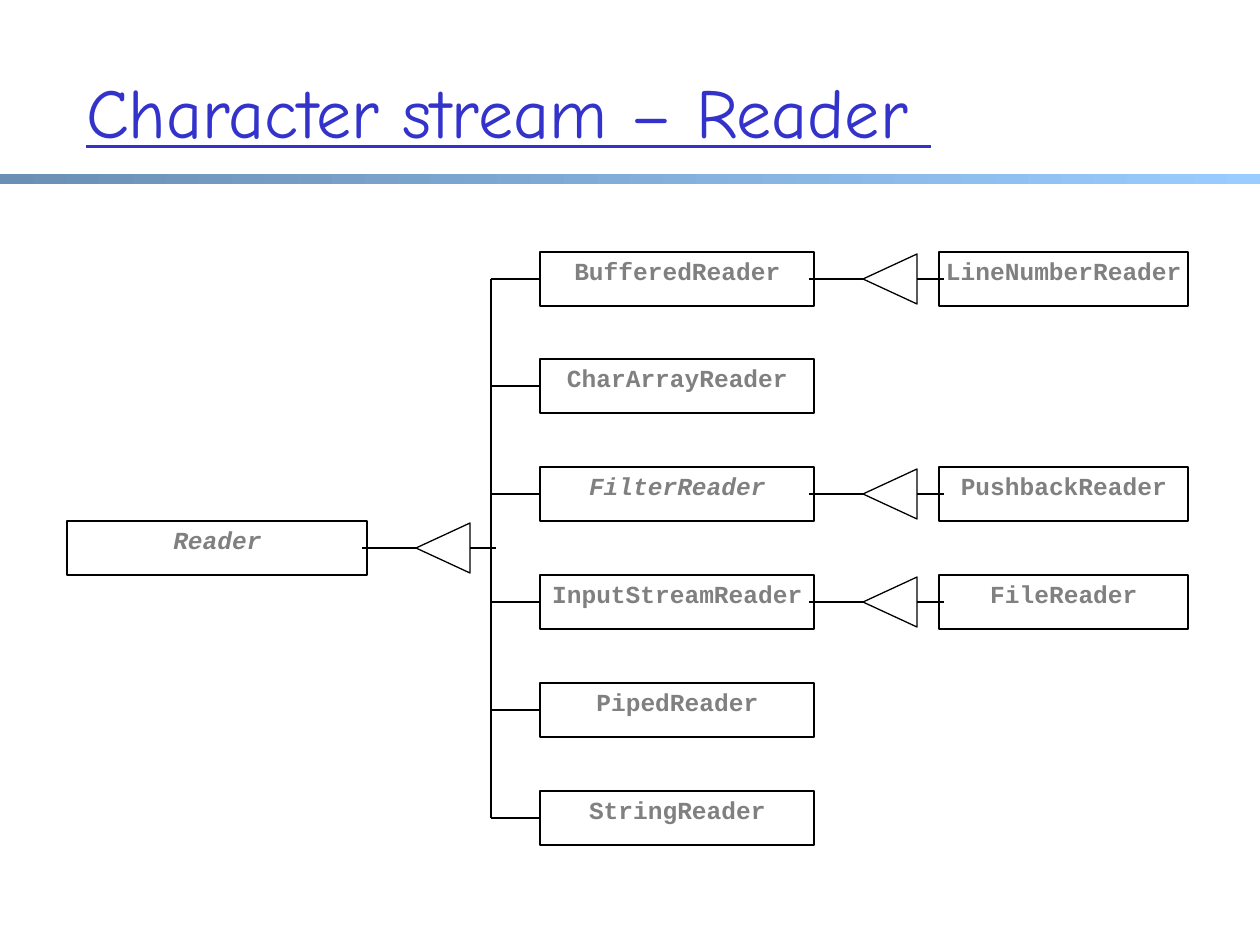
from dataclasses import dataclass

from lxml import etree
from pptx import Presentation
from pptx.dml.color import RGBColor
from pptx.enum.shapes import MSO_CONNECTOR, MSO_SHAPE
from pptx.enum.text import MSO_ANCHOR, MSO_AUTO_SIZE, PP_ALIGN
from pptx.oxml.ns import qn
from pptx.util import Pt

RECTANGLE = MSO_SHAPE.RECTANGLE
TRIANGLE = MSO_SHAPE.ISOSCELES_TRIANGLE
STRAIGHT = MSO_CONNECTOR.STRAIGHT
TOP, MIDDLE = MSO_ANCHOR.TOP, MSO_ANCHOR.MIDDLE
LEFT, CENTER = PP_ALIGN.LEFT, PP_ALIGN.CENTER
NO_AUTOFIT = MSO_AUTO_SIZE.NONE

PX = 914400 / 126
TITLE_LAYOUT = 5


@dataclass(frozen=True)
class Theme:
    title_font: str = "Comic Neue"
    code_font: str = "Courier New"
    title_size: float = 40
    code_size: float = 14
    line_width: float = 0.75
    title: str = "3333CC"
    code: str = "808080"
    line: str = "000000"
    box: str = "FFFFFF"
    bar: tuple = ("6B8FB3", "99CCFF")


def emu(*lengths):
    return [round(length * PX) for length in lengths]


def assign(target, values):
    for name, value in values.items():
        setattr(target, name, value)


class Diagram:
    def __init__(self, slide, theme):
        self.slide = slide
        self.theme = theme

    def label(self, frame, text, insets, anchor, align, color, font):
        margins = dict(zip(("margin_left", "margin_top", "margin_right", "margin_bottom"), emu(*insets)))
        assign(frame, {**margins, "auto_size": NO_AUTOFIT, "word_wrap": True, "vertical_anchor": anchor})
        paragraph = frame.paragraphs[0]
        paragraph.alignment = align
        run = paragraph.add_run()
        run.text = text
        assign(run.font, font)
        run.font.color.rgb = RGBColor.from_string(color)

    def title(self, text, left, top, width, height):
        heading = self.slide.shapes.title
        assign(heading, dict(zip(("left", "top", "width", "height"), emu(left, top, width, height))))
        font = {"name": self.theme.title_font, "size": Pt(self.theme.title_size), "underline": True}
        self.label(heading.text_frame, text, (13, 6, 13, 6), MIDDLE, LEFT, self.theme.title, font)

    def bar(self, left, top, width, height):
        band = self.slide.shapes.add_shape(RECTANGLE, *emu(left, top, width, height))
        band.shadow.inherit = False
        band.line.fill.background()
        band.fill.gradient()
        band.fill.gradient_angle = 0
        for stop, color in zip(band.fill.gradient_stops, self.theme.bar):
            stop.color.rgb = RGBColor.from_string(color)

    def stroke(self, line):
        line.width = Pt(self.theme.line_width)
        line.color.rgb = RGBColor.from_string(self.theme.line)

    def outlined(self, preset, left, top, width, height):
        outline = self.slide.shapes.add_shape(preset, *emu(left, top, width, height))
        outline.shadow.inherit = False
        outline.fill.solid()
        outline.fill.fore_color.rgb = RGBColor.from_string(self.theme.box)
        self.stroke(outline.line)
        return outline

    def class_box(self, name, left, middle, width, abstract=False):
        box = self.outlined(RECTANGLE, left, middle - BOX_HEIGHT // 2, width, BOX_HEIGHT)
        font = {"name": self.theme.code_font, "size": Pt(self.theme.code_size), "bold": True, "italic": abstract}
        self.label(box.text_frame, name, (1, 4, 0, 2), TOP, CENTER, self.theme.code, font)

    def line(self, x1, y1, x2, y2):
        connector = self.slide.shapes.add_connector(STRAIGHT, *emu(x1, y1, x2, y2))
        self.stroke(connector.line)
        etree.SubElement(connector._element.spPr, qn("a:effectLst"))

    def inheritance(self, parent_right, child_left, middle):
        tip = parent_right + STUB
        base = tip + ARROW_LENGTH
        arrow = self.outlined(
            TRIANGLE,
            tip + (ARROW_LENGTH - ARROW_SPREAD) // 2,
            middle - ARROW_LENGTH // 2,
            ARROW_SPREAD,
            ARROW_LENGTH,
        )
        arrow.rotation = 270
        self.line(parent_right - OVERLAP, middle, tip, middle)
        self.line(base, middle, child_left + OVERLAP, middle)


BOX_HEIGHT = 54
ARROW_LENGTH, ARROW_SPREAD = 54, 50
STUB, OVERLAP = 49, 5
ROOT_LEFT, ROOT_WIDTH = 67, 300
TRUNK = 491
CHILD_LEFT, CHILD_WIDTH = 540, 274
GRANDCHILD_LEFT, GRANDCHILD_WIDTH = 939, 249
FIRST_ROW, LAST_ROW = 279, 818

READERS = [
    ("BufferedReader", False, "LineNumberReader"),
    ("CharArrayReader", False, None),
    ("FilterReader", True, "PushbackReader"),
    ("InputStreamReader", False, "FileReader"),
    ("PipedReader", False, None),
    ("StringReader", False, None),
]


def main():
    presentation = Presentation()
    assign(presentation, dict(zip(("slide_width", "slide_height"), emu(1260, 945))))
    slide = presentation.slides.add_slide(presentation.slide_layouts[TITLE_LAYOUT])
    diagram = Diagram(slide, Theme())

    diagram.bar(0, 174, 1260, 10)
    diagram.title("Character stream – Reader ", 73, 31, 1071, 158)

    root_row = (FIRST_ROW + LAST_ROW) // 2
    diagram.class_box("Reader", ROOT_LEFT, root_row, ROOT_WIDTH, abstract=True)
    diagram.inheritance(ROOT_LEFT + ROOT_WIDTH, TRUNK, root_row)
    diagram.line(TRUNK, FIRST_ROW, TRUNK, LAST_ROW)

    for index, (child, abstract, grandchild) in enumerate(READERS):
        row = FIRST_ROW + (LAST_ROW - FIRST_ROW) * index // (len(READERS) - 1)
        diagram.class_box(child, CHILD_LEFT, row, CHILD_WIDTH, abstract)
        diagram.line(TRUNK, row, CHILD_LEFT, row)
        if grandchild:
            diagram.class_box(grandchild, GRANDCHILD_LEFT, row, GRANDCHILD_WIDTH)
            diagram.inheritance(CHILD_LEFT + CHILD_WIDTH, GRANDCHILD_LEFT, row)

    presentation.save("out.pptx")


if __name__ == "__main__":
    main()
